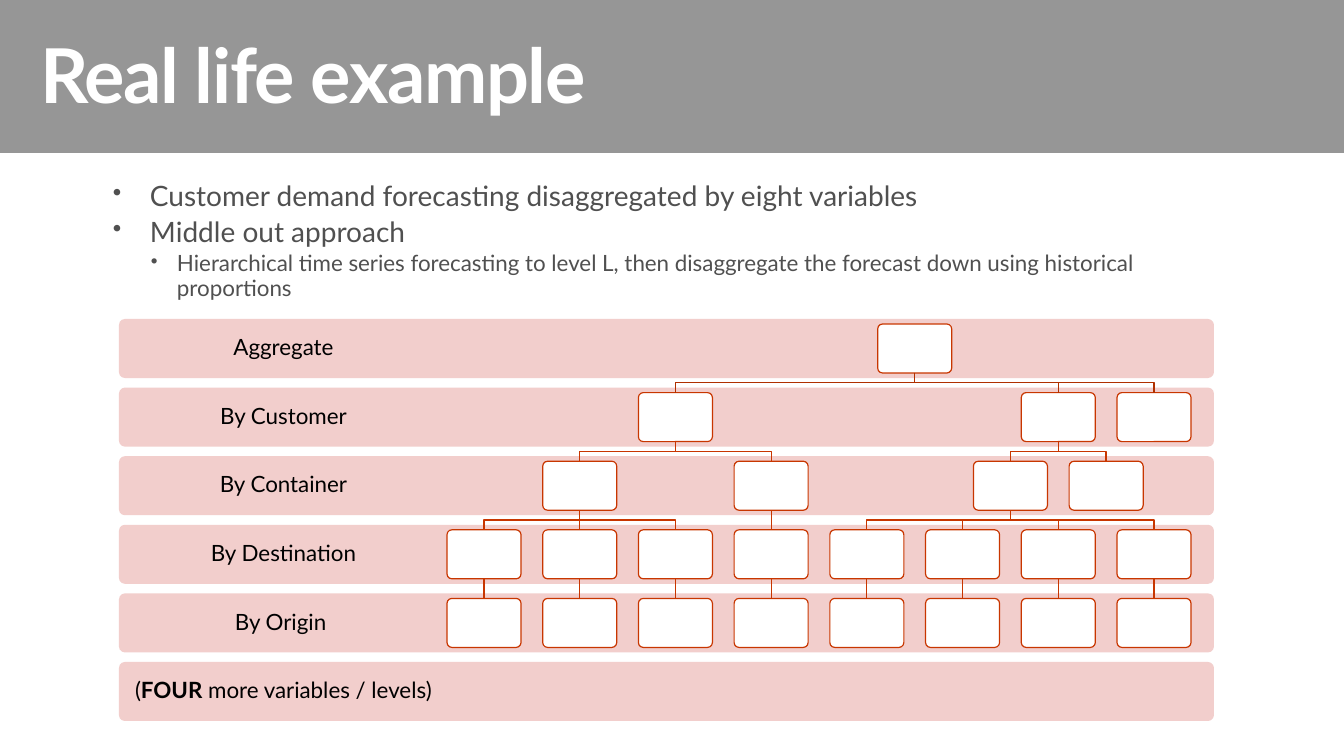
from lxml import etree
from pptx import Presentation
from pptx.dml.color import RGBColor
from pptx.enum.shapes import MSO_CONNECTOR, MSO_SHAPE
from pptx.enum.text import MSO_ANCHOR, PP_ALIGN
from pptx.oxml.ns import qn
from pptx.util import Pt

RECT = MSO_SHAPE.RECTANGLE
ROUND = MSO_SHAPE.ROUNDED_RECTANGLE
STRAIGHT = MSO_CONNECTOR.STRAIGHT
TOP, MIDDLE = MSO_ANCHOR.TOP, MSO_ANCHOR.MIDDLE
LEFT, CENTER = PP_ALIGN.LEFT, PP_ALIGN.CENTER

FONT = "Lato"
COLORS = {
    "banner": "969696",
    "title": "FFFFFF",
    "body": "505050",
    "label": "000000",
    "row": "F2CECC",
    "box": "FFFFFF",
    "line": "C83600",
    "top_line": "B03000",
}
TITLE = "Real life example"
BULLETS = [
    (0, "Customer demand forecasting disaggregated by eight variables"),
    (0, "Middle out approach"),
    (1, "Hierarchical time series forecasting to level L, then disaggregate "
        "the forecast down using historical proportions"),
]
BULLET_STYLES = [
    {"size": 20, "margin": 37, "hang": 37},
    {"size": 16, "margin": 64, "hang": 26},
]
ROWS = [
    [("Aggregate", False)],
    [("By Customer", False)],
    [("By Container", False)],
    [("By Destination", False)],
    [("By Origin ", False)],
    [("(", False), ("FOUR", True), (" more variables / levels)", False)],
]
# Each level pairs a box column with the column of its parent.
LEVELS = [
    [(4.5, None)],
    [(2, 4.5), (6, 4.5), (7, 4.5)],
    [(1, 2), (3, 2), (5.5, 6), (6.5, 6)],
    [(0, 1), (1, 1), (2, 1), (3, 3), (4, 5.5), (5, 5.5), (6, 5.5), (7, 5.5)],
    [(col, col) for col in range(8)],
]

SLIDE_W, SLIDE_H = 1344, 756
BANNER_H = 153
ROW_X, ROW_Y, ROW_W, ROW_H, ROWS_SPAN = 119, 319, 1095, 59, 343
LABEL_W = 329
BOX_X, BOX_W, BOX_H, BOX_INSET, BOXES_SPAN = 447, 74, 49, 5, 670
LINE_PT = 0.85


def px(n):
    return round(n * 914400 / 100.8)


def rgb(name):
    return RGBColor.from_string(COLORS[name])


def row_top(i):
    return ROW_Y + ROWS_SPAN * i / (len(ROWS) - 1)


def add_block(kind, x, y, w, h, fill, line=None):
    sp = s.shapes.add_shape(kind, px(x), px(y), px(w), px(h))
    sp.shadow.inherit = False
    sp.fill.solid()
    sp.fill.fore_color.rgb = rgb(fill)
    if kind == ROUND:
        sp.adjustments[0] = 0.1
    if line:
        style_line(sp, line)
    else:
        sp.line.fill.background()
    return sp


def style_line(sp, color):
    sp.line.color.rgb = rgb(color)
    sp.line.width = Pt(LINE_PT)


def add_text(x, y, w, h, inset_x, inset_y, anchor):
    tf = s.shapes.add_textbox(px(x), px(y), px(w), px(h)).text_frame
    tf.word_wrap = True
    tf.vertical_anchor = anchor
    tf.margin_left = tf.margin_right = px(inset_x)
    tf.margin_top = tf.margin_bottom = px(inset_y)
    return tf


def style_paragraph(p, size, color, align=LEFT):
    p.alignment = align
    p.line_spacing = 0.9
    for r in p.runs:
        r.font.name = FONT
        r.font.size = Pt(size)
        r.font.color.rgb = rgb(color)


def add_bullet(p, margin, hang):
    pPr = p._p.get_or_add_pPr()
    pPr.set("marL", str(px(margin)))
    pPr.set("indent", str(-px(hang)))
    etree.SubElement(pPr, qn("a:buSzPct")).set("val", "90000")
    etree.SubElement(pPr, qn("a:buChar")).set("char", "•")


def join(parent, child, color):
    x1, x2 = (b.left + b.width // 2 for b in (parent, child))
    y1, y2 = parent.top + parent.height, child.top
    if x1 == x2:
        link = s.shapes.add_connector(STRAIGHT, x1, y1, x2, y2)
        link.begin_connect(parent, 2)
        link.end_connect(child, 0)
        etree.SubElement(link._element.spPr, qn("a:effectLst"))
    else:
        mid = (y1 + y2) // 2
        fb = s.shapes.build_freeform(x1, y1)
        fb.add_line_segments([(x1, mid), (x2, mid), (x2, y2)], close=False)
        link = fb.convert_to_shape()
        link.shadow.inherit = False
        link.fill.background()
    style_line(link, color)


prs = Presentation()
prs.slide_width, prs.slide_height = px(SLIDE_W), px(SLIDE_H)
s = prs.slides.add_slide(prs.slide_layouts[6])

add_block(RECT, 0, 0, SLIDE_W, BANNER_H, "banner")
tf = add_text(24, 28, 1159, 126, 16, 10, TOP)
tf.text = TITLE
p = tf.paragraphs[0]
style_paragraph(p, 54, "title")
p.runs[0].font.bold = True
p.runs[0]._r.get_or_add_rPr().set("spc", "-100")

tf = add_text(93, 166, 1159, 128, 20, 16, TOP)
for i, (level, text) in enumerate(BULLETS):
    style = BULLET_STYLES[level]
    p = tf.add_paragraph() if i else tf.paragraphs[0]
    p.text = text
    p.level = level
    add_bullet(p, style["margin"], style["hang"])
    style_paragraph(p, style["size"], "body")
    if i:
        p.space_before = Pt(style["size"] * 0.2)

for i, parts in enumerate(ROWS):
    add_block(ROUND, ROW_X, row_top(i), ROW_W, ROW_H, "row")
    p = add_text(ROW_X, row_top(i), LABEL_W, ROW_H, 12, 12, MIDDLE).paragraphs[0]
    for text, bold in parts:
        r = p.add_run()
        r.text = text
        r.font.bold = bold
    style_paragraph(p, 16, "label", CENTER)

parents = {}
for i, level in enumerate(LEVELS):
    boxes = {}
    for col, parent_col in level:
        x = BOX_X + BOXES_SPAN * col / 7
        boxes[col] = add_block(ROUND, x, row_top(i) + BOX_INSET, BOX_W, BOX_H, "box", "line")
        if parent_col is not None:
            join(parents[parent_col], boxes[col], "top_line" if i == 1 else "line")
    parents = boxes

prs.save("out.pptx")
